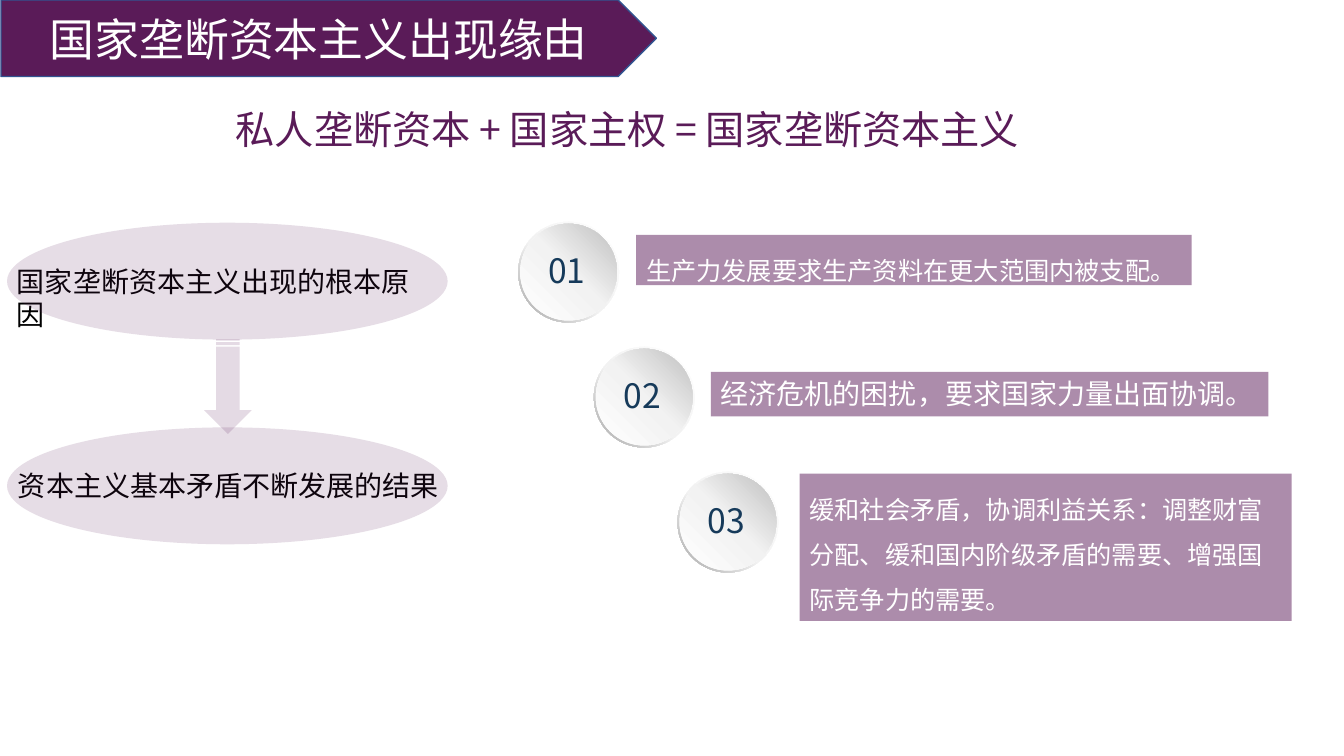
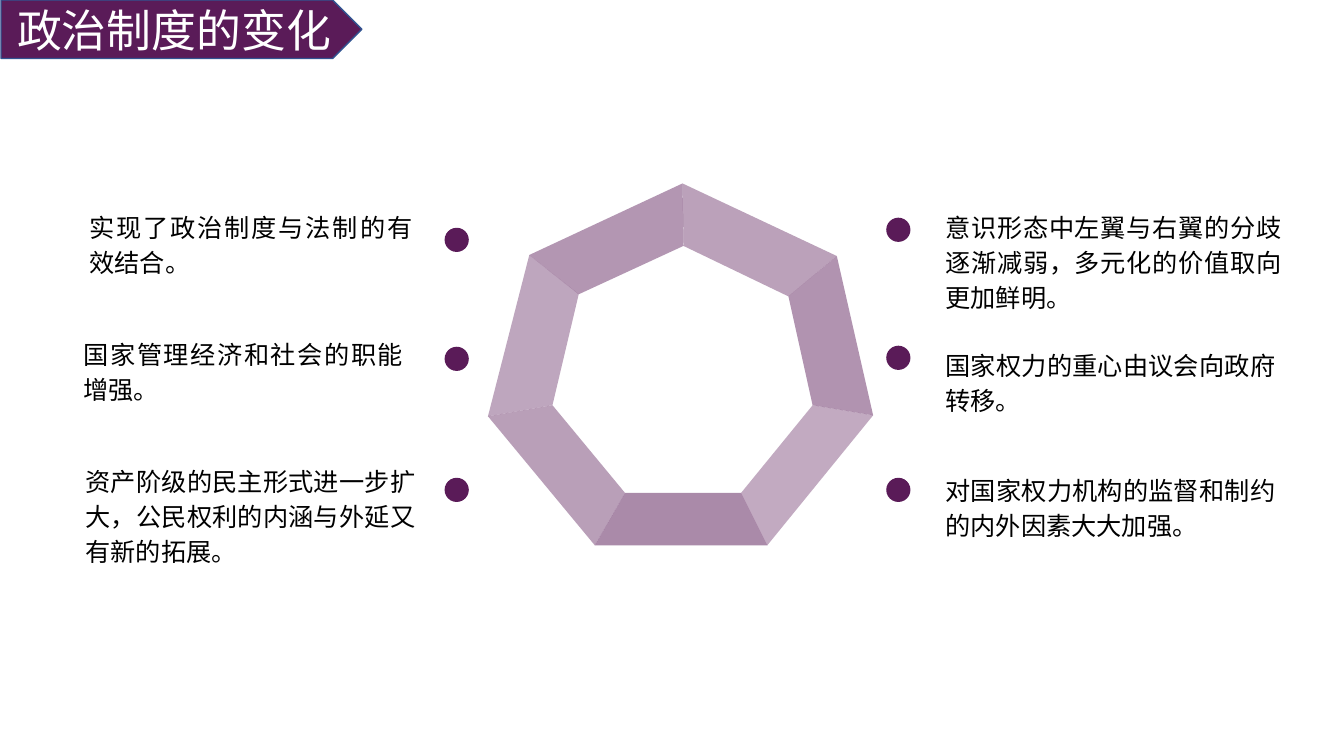
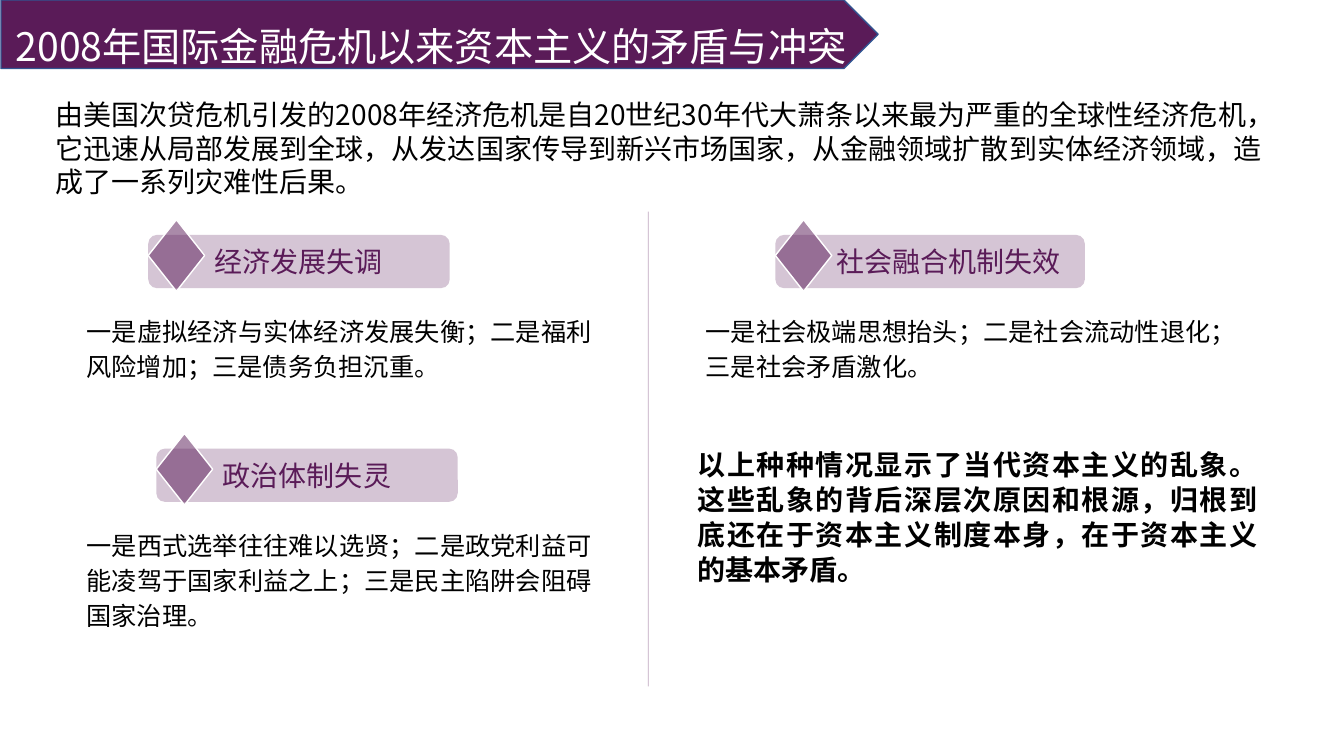
from lxml import etree
from pptx import Presentation
from pptx.dml.color import RGBColor
from pptx.enum.shapes import MSO_CONNECTOR as Link, MSO_SHAPE as Kind
from pptx.enum.text import MSO_ANCHOR as Anchor, PP_ALIGN as Align
from pptx.oxml.ns import qn
from pptx.util import Inches, Pt

PLUM = RGBColor(0x5A, 0x1B, 0x58)
BLUE = RGBColor(0x32, 0x54, 0x91)
NAVY = RGBColor(0x16, 0x3A, 0x5A)
WHITE = RGBColor(0xFF, 0xFF, 0xFF)
BLACK = RGBColor(0, 0, 0)
FONT = "Noto Sans CJK SC"


def paint(shape, alpha=100, edge=None):
    """Fill a shape with plum at the given opacity, with an optional outline."""
    shape.shadow.inherit = False
    shape.fill.solid()
    shape.fill.fore_color.rgb = PLUM
    if alpha < 100:
        tint = shape.element.spPr.find(qn("a:solidFill"))[0]
        etree.SubElement(tint, qn("a:alpha"), val=str(alpha * 1000))
    if edge is None:
        shape.line.fill.background()
    else:
        shape.line.color.rgb = edge
        shape.line.width = Pt(1)
    return shape


def write(shape, text, size=18, color=BLACK, bold=False, align=Align.LEFT,
          space=None, anchor=Anchor.TOP, wrap=True, left=0.1):
    frame = shape.text_frame
    frame.word_wrap = wrap
    frame.vertical_anchor = anchor
    frame.margin_left = Inches(left)
    para = frame.paragraphs[0]
    para.alignment = align
    if space:
        para.line_spacing = space
    run = para.add_run()
    run.text = text
    font = run.font
    font.name, font.size, font.bold = FONT, Pt(size), bold
    font.color.rgb = color
    etree.SubElement(run._r.get_or_add_rPr(), qn("a:ea"), typeface=FONT)


deck = Presentation()
deck.slide_width, deck.slide_height = Inches(13.33), Inches(7.5)

# Title band of each slide
bands = [
    ("国家垄断资本主义出现缘由", 6.5, 0.76, 32, None),
    ("政治制度的变化", 3.58, 0.58, 32, None),
    ("2008年国际金融危机以来资本主义的矛盾与冲突", 8.7, 0.68, 28, 1.5),
]
pages = []
for text, w, h, size, space in bands:
    page = deck.slides.add_slide(deck.slide_layouts[6]).shapes
    band = page.add_shape(Kind.PENTAGON, Inches(0.01), 0, Inches(w), Inches(h))
    write(paint(band, edge=BLUE), text, size=size, color=WHITE, space=space,
          align=Align.CENTER, anchor=Anchor.MIDDLE, wrap=False)
    pages.append(page)
cause, change, crisis = pages

# Slide 1: formula
box = cause.add_textbox(*map(Inches, (2.24, 1, 8.59, 0.57)))
write(box, "私人垄断资本 + 国家主权 = 国家垄断资本主义", size=28, color=PLUM)

# Slide 1: root cause and its result
for text, x, y, w, top in [
    ("国家垄断资本主义出现的根本原因", 0.07, 2.57, 4.36, 2.21),
    ("资本主义基本矛盾不断发展的结果", 0.08, 4.6, 4.41, 4.24),
]:
    box = cause.add_textbox(*map(Inches, (x, y, w, 0.44)))
    write(box, text, size=20)
    paint(cause.add_shape(Kind.OVAL, *map(Inches, (0.07, top, 4.37, 1.16))), 15)
arrow = cause.add_shape(Kind.STRIPED_RIGHT_ARROW,
                        *map(Inches, (1.79, 3.6, 0.94, 0.47)))
paint(arrow, 16).rotation = 90

# Slide 1: numbered discs, each a shaded ring around a shaded face
discs = [("01", 5.14, 2.2), ("02", 5.89, 3.44), ("03", 6.72, 4.68)]
for num, x, y in discs:
    group = cause.add_group_shape().shapes
    for kind, gap, angle, mid, dark in [
        (Kind.DONUT, 0, 135, 55, "A6A6A6"),
        (Kind.OVAL, 0.02, 315, 51, "BFBFBF"),
    ]:
        side = Inches(1 - 2 * gap)
        disc = paint(group.add_shape(kind, Inches(x + gap), Inches(y + gap), side, side))
        if kind == Kind.DONUT:
            disc.adjustments[0] = 0.05
        disc.fill.gradient()
        grad = disc.element.spPr.find(qn("a:gradFill"))
        for part in list(grad):
            grad.remove(part)
        stops = etree.SubElement(grad, qn("a:gsLst"))
        for pos, tone in [(0, "FFFFFF"), (mid, "F2F2F2"), (100, dark)]:
            stop = etree.SubElement(stops, qn("a:gs"), pos=str(pos * 1000))
            etree.SubElement(stop, qn("a:srgbClr"), val=tone)
        etree.SubElement(grad, qn("a:lin"), ang=str(angle * 60000), scaled="0")
    label = group.add_textbox(*map(Inches, (x + 0.2, y + 0.23, 0.6, 0.5)))
    write(label, num, size=24, color=NAVY, wrap=False)

# Slide 1: reasons
for text, size, space, *area in [
    ("生产力发展要求生产资料在更大范围内被支配。", 18, 1.5, 6.31, 2.33, 5.51, 0.5),
    ("经济危机的困扰，要求国家力量出面协调。", 20, None, 7.05, 3.69, 5.53, 0.44),
    ("缓和社会矛盾，协调利益关系：调整财富分配、缓和国内阶级矛盾的需要、增强国际竞争力的需要。",
     18, 1.5, 7.93, 4.7, 4.88, 1.46),
]:
    bar = paint(cause.add_shape(Kind.RECTANGLE, *map(Inches, area)), 50)
    write(bar, text, size=size, color=WHITE, space=space)

# Slide 2: seven-sided ring, one panel between each pair of corners
outer = [(6.77, 1.82), (8.3, 2.54), (8.66, 4.12), (7.61, 5.41),
         (5.9, 5.41), (4.84, 4.13), (5.25, 2.53)]
inner = [(6.78, 2.44), (7.82, 2.94), (8.06, 4.02), (7.35, 4.89),
         (6.2, 4.89), (5.48, 4.02), (5.74, 2.92)]
for i, alpha in enumerate([41, 47, 37, 51, 42, 39, 46]):
    j = (i + 1) % len(outer)
    start, *rest = [tuple(map(Inches, spot))
                    for spot in (outer[i], inner[i], inner[j], outer[j])]
    panel = change.build_freeform(*start)
    panel.add_line_segments(rest)
    paint(panel.convert_to_shape(), alpha)

# Slide 2: points beside the ring, each with a dot
for text, x, y, w, h, dot, top in [
    ("实现了政治制度与法制的有效结合。", 0.79, 2.01, 3.4, 0.8, 4.41, 2.26),
    ("国家管理经济和社会的职能增强。", 0.73, 3.27, 3.37, 0.8, 4.41, 3.44),
    ("资产阶级的民主形式进一步扩大，公民权利的内涵与外延又有新的拓展。",
     0.75, 4.53, 3.47, 1.15, 4.41, 4.74),
    ("意识形态中左翼与右翼的分歧逐渐减弱，多元化的价值取向更加鲜明。",
     9.28, 2.01, 3.53, 1.15, 8.79, 2.16),
    ("国家权力的重心由议会向政府转移。", 9.28, 3.38, 3.47, 0.8, 8.79, 3.43),
    ("对国家权力机构的监督和制约的内外因素大大加强。",
     9.28, 4.62, 3.47, 0.8, 8.79, 4.74),
]:
    box = change.add_textbox(*map(Inches, (x, y, w, h)))
    write(box, text, align=Align.JUSTIFY, space=Pt(25))
    paint(change.add_shape(Kind.OVAL, *map(Inches, (dot, top, 0.24, 0.24))))

# Slide 3: divider and introduction
rule = crisis.add_connector(Link.STRAIGHT, *map(Inches, (6.43, 2.1, 6.43, 6.81)))
rule.line.color.rgb = PLUM
rule.line.width = Pt(0.5)
props = rule.element.spPr
tint = props.find(qn("a:ln")).find(qn("a:solidFill"))[0]
etree.SubElement(tint, qn("a:alpha"), val="38000")
etree.SubElement(props, qn("a:effectLst"))
box = crisis.add_textbox(*map(Inches, (0.45, 0.92, 12.44, 1.11)))
write(box, "由美国次贷危机引发的2008年经济危机是自20世纪30年代大萧条以来最为严重的全球性经济危机，"
      "它迅速从局部发展到全球，从发达国家传导到新兴市场国家，从金融领域扩散到实体经济领域，"
      "造成了一系列灾难性后果。", size=20)

# Slide 3: three topics, each with a label, a diamond and a text
for head, text, x, y, w, left, start, h in [
    ("经济发展失调", "一是虚拟经济与实体经济发展失衡；二是福利风险增加；三是债务负担沉重。",
     1.47, 2.18, 2.99, 0.1, 0.76, 0.8),
    ("政治体制失灵",
     "一是西式选举往往难以选贤；二是政党利益可能凌驾于国家利益之上；三是民主陷阱会阻碍国家治理。",
     1.55, 4.3, 2.99, 0.1, 0.76, 1.15),
    ("社会融合机制失效", "一是社会极端思想抬头；二是社会流动性退化；三是社会矛盾激化。",
     7.69, 2.18, 3.07, 0.46, 6.9, 0.8),
]:
    tag = crisis.add_shape(Kind.ROUNDED_RECTANGLE, *map(Inches, (x, y + 0.15, w, 0.53)))
    write(paint(tag, 25), head, size=20, color=PLUM, align=Align.CENTER,
          anchor=Anchor.MIDDLE, left=left)
    gem = crisis.add_shape(Kind.DIAMOND, *map(Inches, (x, y, 0.56, 0.71)))
    paint(gem, 51, edge=WHITE)
    box = crisis.add_textbox(*map(Inches, (start, y + 0.86, 5.21, h)))
    write(box, text, align=Align.JUSTIFY, space=Pt(25))

# Slide 3: conclusion
box = crisis.add_textbox(*map(Inches, (6.82, 4.38, 5.75, 1.5)))
write(box, "以上种种情况显示了当代资本主义的乱象。这些乱象的背后深层次原因和根源，"
      "归根到底还在于资本主义制度本身，在于资本主义的基本矛盾。",
      size=20, bold=True, align=Align.JUSTIFY, space=Pt(25))

deck.save("out.pptx")
